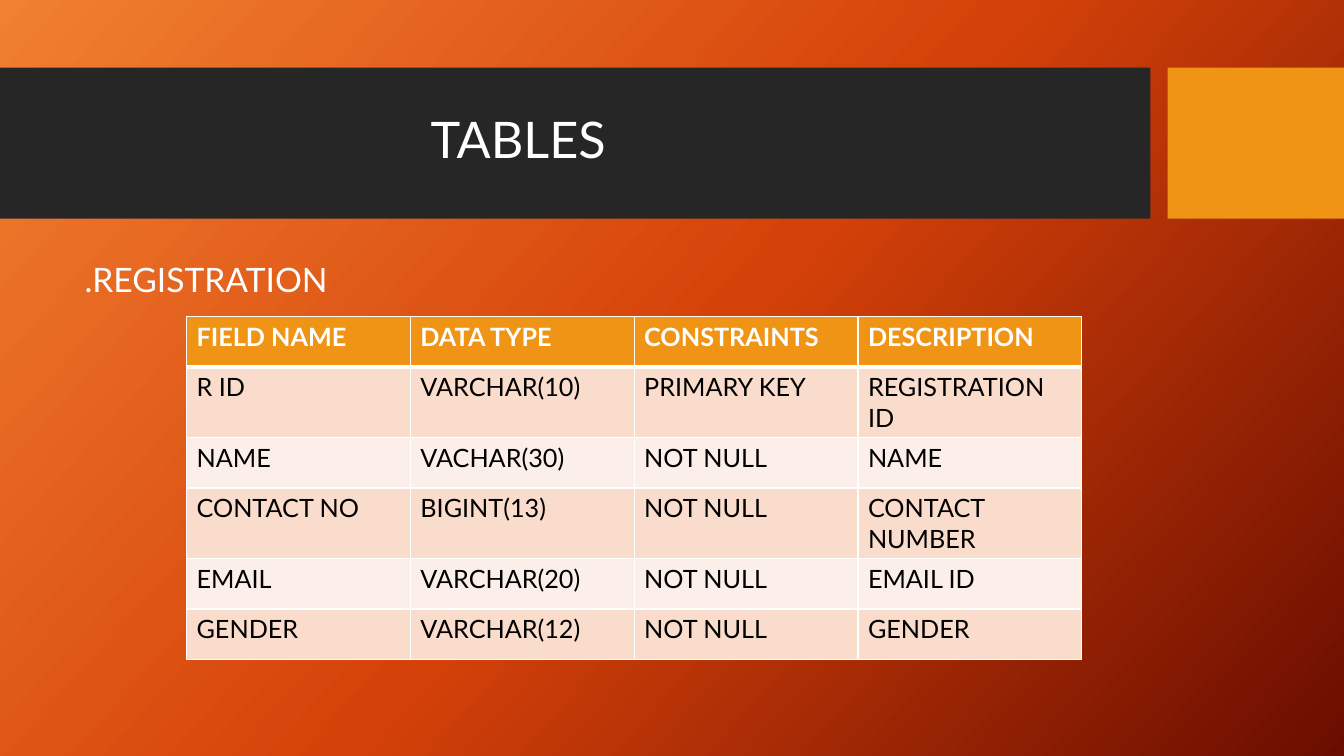
from copy import deepcopy

from lxml import etree
from pptx import Presentation
from pptx import util as u
from pptx.dml.color import RGBColor
from pptx.enum import shapes, text
from pptx.oxml import ns

WHITE = RGBColor(0xFF, 0xFF, 0xFF)
BLACK = RGBColor(0x00, 0x00, 0x00)
CHARCOAL = RGBColor(0x26, 0x26, 0x26)
AMBER = RGBColor(0xF0, 0x94, 0x15)
PEACH = RGBColor(0xF9, 0xDC, 0xCC)
PALE_PEACH = RGBColor(0xFC, 0xEE, 0xE8)
GRADIENT = [
    (0, RGBColor(0xF1, 0x80, 0x31)),
    (0.5, RGBColor(0xD5, 0x42, 0x09)),
    (1, RGBColor(0x6A, 0x0D, 0x00)),
]

REGISTRATION_FIELDS = [
    ("FIELD NAME", "DATA TYPE", "CONSTRAINTS", "DESCRIPTION"),
    ("R ID", "VARCHAR(10)", "PRIMARY KEY", "REGISTRATION ID"),
    ("NAME", "VACHAR(30)", "NOT NULL", "NAME"),
    ("CONTACT NO", "BIGINT(13)", "NOT NULL", "CONTACT NUMBER"),
    ("EMAIL", "VARCHAR(20)", "NOT NULL", "EMAIL ID"),
    ("GENDER", "VARCHAR(12)", "NOT NULL", "GENDER"),
]


class SlideBuilder:
    """Holds the slide and its font, and adds each kind of element."""

    def __init__(self, slide, font="Lato"):
        self.slide = slide
        self.font = font

    def background(self, stops, angle):
        """Fill the background with a gradient; angle is clockwise in degrees."""
        fill = self.slide.background.fill
        fill.gradient()
        fill.gradient_angle = 360 - angle
        stop_list = self.slide.element.find(".//" + ns.qn("a:gsLst"))
        while len(stop_list) < len(stops):
            stop_list.append(deepcopy(stop_list[0]))
        for stop, (position, color) in zip(fill.gradient_stops, stops):
            stop.position = position
            stop.color.rgb = color

    def bar(self, left, top, width, height, color):
        shape = self.slide.shapes.add_shape(
            shapes.MSO_SHAPE.RECTANGLE,
            u.Inches(left), u.Inches(top), u.Inches(width), u.Inches(height))
        shape.shadow.inherit = False
        shape.fill.solid()
        shape.fill.fore_color.rgb = color
        shape.line.fill.background()

    def add_text(self, frame, words, size, color, bold=False):
        paragraph = frame.paragraphs[0]
        paragraph.alignment = text.PP_ALIGN.LEFT
        run = paragraph.add_run()
        run.text = words
        run.font.name = self.font
        run.font.size = u.Pt(size)
        run.font.bold = bold
        run.font.color.rgb = color
        return paragraph

    def title(self, words, left, top, width, height, indent):
        title = self.slide.shapes.title
        title.left, title.top = u.Inches(left), u.Inches(top)
        title.width, title.height = u.Inches(width), u.Inches(height)
        frame = title.text_frame
        frame.vertical_anchor = text.MSO_ANCHOR.MIDDLE
        frame.margin_left = u.Inches(indent)
        self.add_text(frame, words, 36, WHITE).line_spacing = 0.9
        title.element.getparent().append(title.element)  # in front of the bars

    def label(self, words, left, top, width, height):
        box = self.slide.shapes.add_textbox(
            u.Inches(left), u.Inches(top), u.Inches(width), u.Inches(height))
        box.text_frame.word_wrap = True
        self.add_text(box.text_frame, words, 24, WHITE).line_spacing = 0.9

    def table(self, rows, left, top, column_width, row_height):
        columns = len(rows[0])
        table = self.slide.shapes.add_table(
            len(rows), columns, u.Inches(left), u.Inches(top),
            u.Inches(column_width * columns),
            u.Inches(row_height * len(rows))).table
        for row_index, row in enumerate(rows):
            header = row_index == 0
            band = PEACH if row_index % 2 else PALE_PEACH
            for column_index, words in enumerate(row):
                cell = table.cell(row_index, column_index)
                self.add_text(cell.text_frame, words, 18,
                              WHITE if header else BLACK, header)
                self.borders(cell, {
                    "L": 1, "R": 1,
                    "T": 3 if row_index == 1 else 1,
                    "B": 3 if header else 1})
                cell.fill.solid()
                cell.fill.fore_color.rgb = AMBER if header else band

    def borders(self, cell, widths):
        """Draw white cell borders, with widths in points by side."""
        properties = cell._tc.get_or_add_tcPr()
        for side, width in widths.items():
            line = etree.SubElement(properties, ns.qn(f"a:ln{side}"),
                                    w=str(u.Pt(width)))
            fill = etree.SubElement(line, ns.qn("a:solidFill"))
            etree.SubElement(fill, ns.qn("a:srgbClr"), val=str(WHITE))


def main():
    presentation = Presentation()
    presentation.slide_width = u.Inches(13.33)
    presentation.slide_height = u.Inches(7.5)
    title_only = presentation.slide_layouts[5]
    builder = SlideBuilder(presentation.slides.add_slide(title_only))
    builder.background(GRADIENT, 42)
    builder.bar(0, 0.67, 11.41, 1.5, CHARCOAL)
    builder.bar(11.58, 0.67, 1.75, 1.5, AMBER)
    builder.title("TABLES", 0.74, 0.82, 10.51, 1.18, indent=3.53)
    builder.label(".REGISTRATION", 0.74, 2.56, 10.51, 3.94)
    builder.table(REGISTRATION_FIELDS, 1.85, 3.14, 2.22, 0.5)
    presentation.save("out.pptx")


if __name__ == "__main__":
    main()
